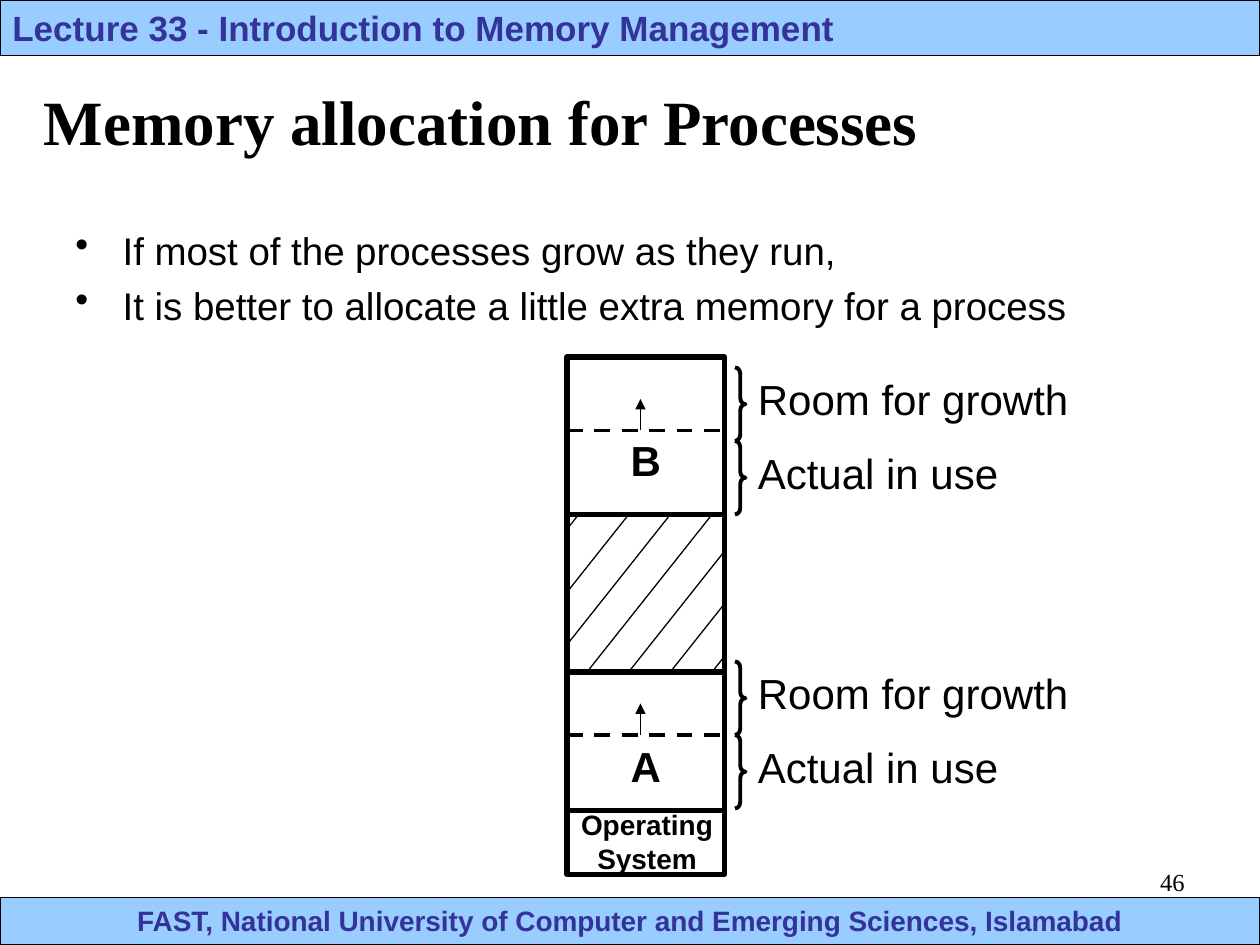
from typing import NamedTuple

from lxml import etree
from pptx import Presentation
from pptx.dml.color import RGBColor
from pptx.enum.dml import MSO_LINE
from pptx.enum.shapes import MSO_CONNECTOR, MSO_SHAPE
from pptx.enum.text import MSO_ANCHOR, PP_ALIGN
from pptx.oxml.ns import qn
from pptx.util import Pt

RECTANGLE, BRACE = MSO_SHAPE.RECTANGLE, MSO_SHAPE.RIGHT_BRACE
STRAIGHT, DASH = MSO_CONNECTOR.STRAIGHT, MSO_LINE.DASH
LEFT, CENTER, RIGHT = PP_ALIGN.LEFT, PP_ALIGN.CENTER, PP_ALIGN.RIGHT
TOP, MIDDLE = MSO_ANCHOR.TOP, MSO_ANCHOR.MIDDLE

BLACK, WHITE, SKY, NAVY = "000000", "FFFFFF", "99CCFF", "333399"
SANS, SERIF = "Arial", "Times New Roman"

MEMORY_LEFT, MEMORY_RIGHT = 324, 414
MEMORY_WIDTH = MEMORY_RIGHT - MEMORY_LEFT
MEMORY_TOP, SYSTEM_TOP, MEMORY_BOTTOM = 206, 464.4, 499.7
HATCH_SLOPE, HATCH_GAP = 1.26, 30
HATCH_RUNS = ((212.4, 4), (338.4, 8))
ARROW_X, ARROW_LENGTH = 366, 18
BRACE_LEFT, BRACE_WIDTH, BRACE_HEIGHT = 420, 6, 42


class Box(NamedTuple):
    left: float
    top: float
    width: float
    height: float


class Process(NamedTuple):
    name: str
    top: float
    height: float
    used_top: float
    braces_top: float


PROCESSES = (
    Process("A", 384, 79, 420, 378),
    Process("B", 204, 90, 246, 210),
)
USES = (("Room for growth", 192), ("Actual in use", 152))


def color(code: str) -> RGBColor:
    return RGBColor.from_string(code)


def write_text(frame, *lines: str, size: float, font=SANS, ink=BLACK, bold=False,
               align=LEFT, anchor=TOP, wrap=True, bullet="", gap=0, inset_top=3.6):
    frame.word_wrap = wrap
    frame.vertical_anchor = anchor
    frame.margin_top = Pt(inset_top)
    for index, line in enumerate(lines):
        paragraph = frame.add_paragraph() if index else frame.paragraphs[0]
        paragraph.alignment = align
        if index:
            paragraph.space_before = Pt(gap)
        if bullet:
            properties = paragraph._p.get_or_add_pPr()
            properties.set("marL", str(Pt(27)))
            properties.set("indent", str(Pt(-27)))
            etree.SubElement(properties, qn("a:buChar")).set("char", bullet)
        run = paragraph.add_run()
        run.text = line
        run.font.name = font
        run.font.size = Pt(size)
        run.font.bold = bold
        run.font.color.rgb = color(ink)


def add_text(slide, box: Box, *lines: str, **text_format):
    frame = slide.shapes.add_textbox(*map(Pt, box)).text_frame
    write_text(frame, *lines, **text_format)


def add_outline(slide, box: Box, weight: float, fill="", preset=RECTANGLE):
    shape = slide.shapes.add_shape(preset, *map(Pt, box))
    shape.shadow.inherit = False
    if fill:
        shape.fill.solid()
        shape.fill.fore_color.rgb = color(fill)
    else:
        shape.fill.background()
    shape.line.color.rgb = color(BLACK)
    shape.line.width = Pt(weight)
    return shape


def add_line(slide, x1: float, y1: float, x2: float, y2: float,
             weight=0.75, dash=None, arrow=False):
    connector = slide.shapes.add_connector(STRAIGHT, *map(Pt, (x1, y1, x2, y2)))
    connector.line.color.rgb = color(BLACK)
    connector.line.width = Pt(weight)
    if dash:
        connector.line.dash_style = dash
    if arrow:
        outline = connector.line._get_or_add_ln()
        etree.SubElement(outline, qn("a:tailEnd")).set("type", "triangle")
    etree.SubElement(connector._element.spPr, qn("a:effectLst"))


def add_hatching(slide):
    for first, count in HATCH_RUNS:
        for step in range(count):
            start = first + step * HATCH_GAP
            low = min(start, SYSTEM_TOP)
            high = max(start - HATCH_SLOPE * MEMORY_WIDTH, MEMORY_TOP)
            add_line(slide, MEMORY_LEFT + (start - high) / HATCH_SLOPE, high,
                     MEMORY_LEFT + (start - low) / HATCH_SLOPE, low)


def add_process(slide, process: Process):
    block = add_outline(slide, Box(MEMORY_LEFT, process.top, MEMORY_WIDTH, process.height),
                        3, WHITE)
    write_text(block.text_frame, process.name, size=24, bold=True, align=CENTER,
               anchor=MIDDLE, wrap=False, inset_top=31.2)
    add_line(slide, MEMORY_LEFT, process.used_top, MEMORY_RIGHT, process.used_top,
             2.25, DASH)
    add_line(slide, ARROW_X, process.used_top, ARROW_X, process.used_top - ARROW_LENGTH,
             arrow=True)
    for index, (use, width) in enumerate(USES):
        top = process.braces_top + index * BRACE_HEIGHT
        add_text(slide, Box(BRACE_LEFT + BRACE_WIDTH, top, width, 36), use,
                 size=24, wrap=False)
        brace = add_outline(slide, Box(BRACE_LEFT, top, BRACE_WIDTH, BRACE_HEIGHT),
                            2.25, preset=BRACE)
        brace.adjustments[0] = 0.58
        brace.adjustments[1] = 0.5


def main():
    deck = Presentation()
    deck.slide_width, deck.slide_height = Pt(720), Pt(540)
    slide = deck.slides.add_slide(deck.slide_layouts[6])

    footer = add_outline(slide, Box(0, 512.7, 720, 27.3), 0.75, SKY)
    write_text(footer.text_frame,
               "FAST, National University of Computer and Emerging Sciences, Islamabad",
               size=16, ink=NAVY, bold=True, align=CENTER)
    header = add_outline(slide, Box(0, 0, 720, 31.7), 0.75, SKY)
    write_text(header.text_frame, "Lecture 33 - Introduction to Memory Management",
               size=20, ink=NAVY, bold=True)

    add_text(slide, Box(516, 492, 168, 37), "46", size=14, font=SERIF, align=RIGHT)
    add_text(slide, Box(18, 42, 648, 54), "Memory allocation for Processes",
             size=36, font=SERIF, bold=True, anchor=MIDDLE)
    add_text(slide, Box(36, 126, 648, 110),
             "If most of the processes grow as they run,",
             "It is better to allocate a little extra memory for a process",
             size=22, bullet="•", gap=5)

    add_outline(slide, Box(MEMORY_LEFT, MEMORY_TOP, MEMORY_WIDTH,
                           MEMORY_BOTTOM - MEMORY_TOP), 3)
    add_line(slide, MEMORY_LEFT, SYSTEM_TOP, MEMORY_RIGHT, SYSTEM_TOP)
    add_text(slide, Box(MEMORY_LEFT, 458, 91.5, 46), "Operating System",
             size=16, bold=True, align=CENTER)
    add_hatching(slide)
    for process in PROCESSES:
        add_process(slide, process)

    deck.save("out.pptx")


if __name__ == "__main__":
    main()
